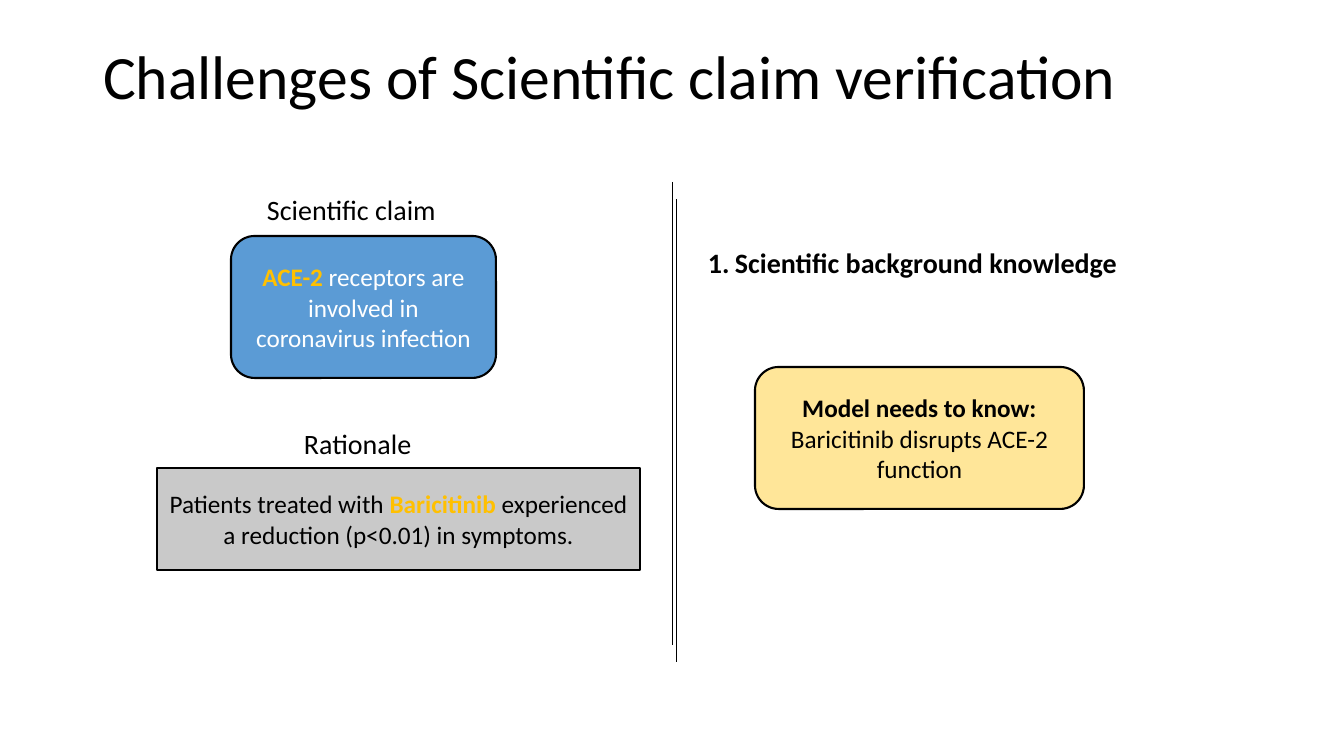
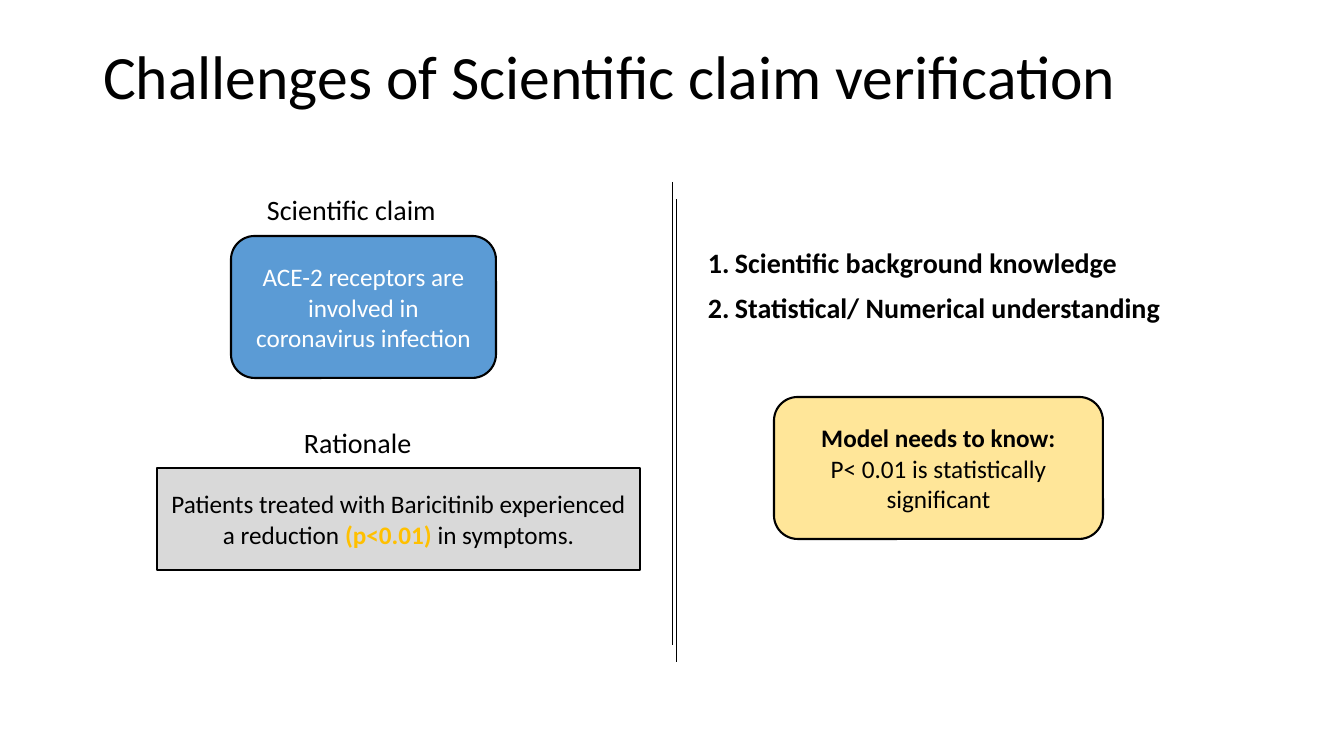
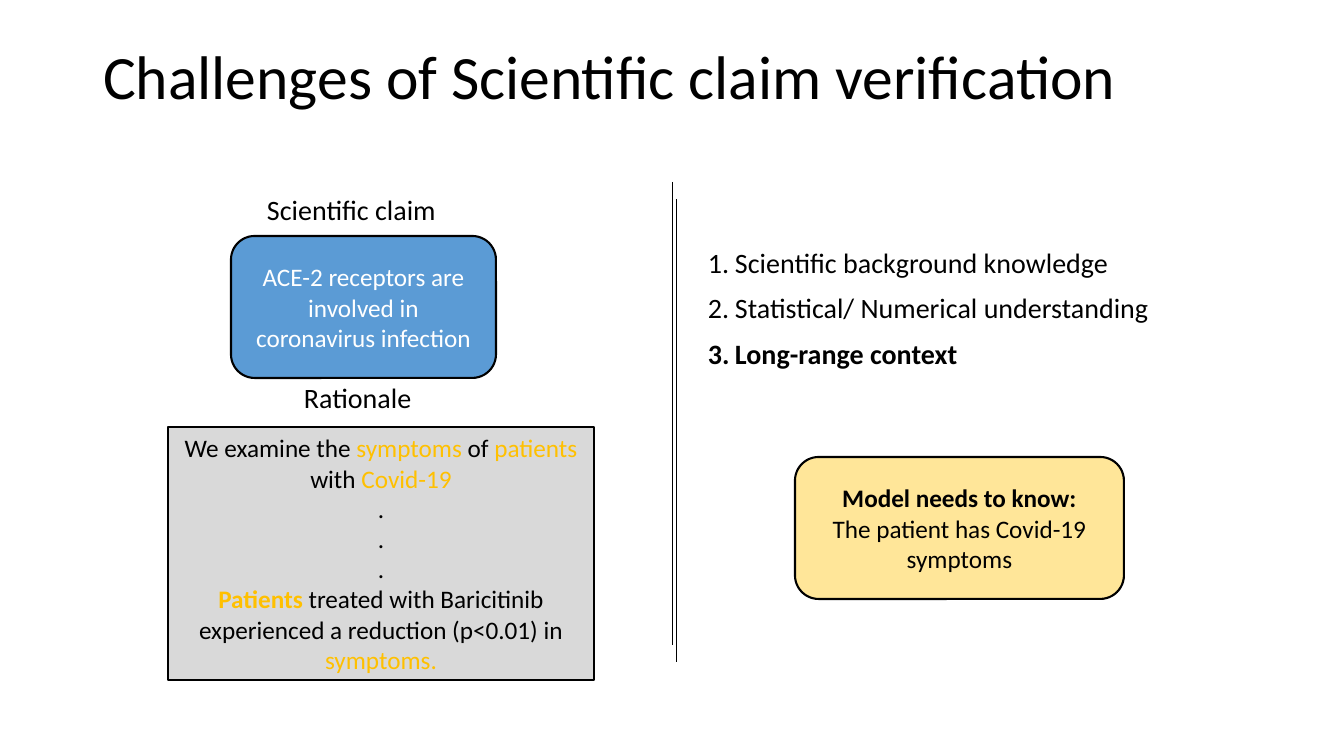
"""Three slides on the challenges of scientific claim verification."""
from typing import NamedTuple

from lxml import etree
from pptx import Presentation
from pptx.dml.color import RGBColor
from pptx.enum.shapes import MSO_CONNECTOR, MSO_SHAPE
from pptx.enum.text import MSO_ANCHOR, MSO_AUTO_SIZE, PP_ALIGN
from pptx.oxml.ns import qn
from pptx.util import Emu, Pt

PIXEL = 914400 / 100.8
FONT = "Calibri"
TITLE = "Challenges of Scientific claim verification"
CLAIM = "ACE-2 receptors are involved in coronavirus infection"

BLACK = RGBColor(0x00, 0x00, 0x00)
WHITE = RGBColor(0xFF, 0xFF, 0xFF)
BLUE = RGBColor(0x5B, 0x9B, 0xD5)
YELLOW = RGBColor(0xFF, 0xE6, 0x99)
AMBER = RGBColor(0xFF, 0xC0, 0x00)
GREY = RGBColor(0xD9, 0xD9, 0xD9)
DARK_GREY = RGBColor(0xC9, 0xC9, 0xC9)

ROUNDED = MSO_SHAPE.ROUNDED_RECTANGLE
RECTANGLE = MSO_SHAPE.RECTANGLE
STRAIGHT = MSO_CONNECTOR.STRAIGHT
LEFT, CENTER = PP_ALIGN.LEFT, PP_ALIGN.CENTER
MIDDLE, TOP = MSO_ANCHOR.MIDDLE, MSO_ANCHOR.TOP
NO_AUTOFIT = MSO_AUTO_SIZE.NONE


class Mark(NamedTuple):
    """A highlighted stretch of text."""
    text: str
    bold: bool = False


def px(*lengths):
    """Turn pixels into a list of EMU lengths."""
    return [Emu(round(length * PIXEL)) for length in lengths]


def place(shape, left, top, width, height):
    """Move and size a shape, in pixels."""
    shape.left, shape.top, shape.width, shape.height = px(left, top, width, height)


def clear_margins(frame):
    """Remove the inner margins of a text frame."""
    frame.margin_left = frame.margin_right = 0
    frame.margin_top = frame.margin_bottom = 0


def style(para, size, color=BLACK, bold=False, align=LEFT):
    """Set the font and alignment of a paragraph."""
    para.alignment = align
    para.font.name = FONT
    para.font.size = Pt(size)
    para.font.color.rgb = color
    para.font.bold = bold


def next_para(frame, index):
    """Return the first paragraph, or add another one."""
    return frame.add_paragraph() if index else frame.paragraphs[0]


def add_spans(para, spans):
    """Add plain strings and highlighted marks to a paragraph."""
    for span in spans:
        run = para.add_run()
        if isinstance(span, Mark):
            run.text = span.text
            run.font.color.rgb = AMBER
            if span.bold:
                run.font.bold = True
        else:
            run.text = span


def add_title(page):
    """Fill the title placeholder."""
    title = page.shapes.title
    place(title, 93, 40, 1159, 79)
    frame = title.text_frame
    frame.auto_size = NO_AUTOFIT
    frame.vertical_anchor = MIDDLE
    frame.text = TITLE
    para = frame.paragraphs[0]
    para.line_spacing = 0.9
    style(para, 44)


def add_challenges(page, challenges):
    """Fill the body placeholder with a numbered list of (text, bold)."""
    body = page.placeholders[1]
    place(body, 708, 249, 540, 135)
    frame = body.text_frame
    clear_margins(frame)
    frame.auto_size = NO_AUTOFIT
    frame.vertical_anchor = TOP
    indent = px(27)[0]
    for index, (text, bold) in enumerate(challenges):
        para = next_para(frame, index)
        para.text = text
        para.line_spacing = 0.9
        para.space_before = Pt(0)
        para.space_after = Pt(11)
        properties = para._p.get_or_add_pPr()
        properties.set("marL", str(indent))
        properties.set("indent", str(-indent))
        etree.SubElement(properties, qn("a:buAutoNum"), type="arabicPeriod")
        style(para, 20, bold=bold)


def add_caption(page, text, left, top):
    """Add a caption above a card."""
    box = page.shapes.add_textbox(*px(left, top, 190, 34))
    frame = box.text_frame
    clear_margins(frame)
    frame.word_wrap = True
    frame.text = text
    style(frame.paragraphs[0], 20)


def add_card(page, kind, area, fill, paragraphs, color=BLACK, bold_first=False):
    """Add an outlined card with centred paragraphs of spans."""
    card = page.shapes.add_shape(kind, *px(*area))
    card.shadow.inherit = False
    card.fill.solid()
    card.fill.fore_color.rgb = fill
    card.line.color.rgb = BLACK
    card.line.width = Pt(1.5)
    frame = card.text_frame
    frame.word_wrap = True
    frame.vertical_anchor = MIDDLE
    for index, spans in enumerate(paragraphs):
        para = next_para(frame, index)
        add_spans(para, spans)
        style(para, 18, color, bold_first and index == 0, CENTER)


def add_divider(page, x, top):
    """Add a thin vertical line."""
    line = page.shapes.add_connector(STRAIGHT, *px(x, top, x, top + 463))
    line.line.color.rgb = BLACK
    line.line.width = Pt(0.5)
    etree.SubElement(line._element.spPr, qn("a:effectLst"))


def add_page(deck, challenges, claim, rationale, rationale_area, caption_top,
             need, need_at, rationale_fill=GREY):
    """Add one slide: claim and rationale at left, challenges at right."""
    page = deck.slides.add_slide(deck.slide_layouts[1])
    add_title(page)
    add_challenges(page, challenges)
    add_caption(page, "Scientific claim", 267, 192)
    add_caption(page, "Rationale", 304, caption_top)
    add_card(page, ROUNDED, (231, 236, 265, 142), BLUE, [claim], WHITE)
    add_card(page, ROUNDED, (*need_at, 329, 142), YELLOW,
             [["Model needs to know:"], [need]], bold_first=True)
    add_card(page, RECTANGLE, rationale_area, rationale_fill, rationale)
    add_divider(page, 672, 182)
    add_divider(page, 676, 199)


def main():
    """Build and save the deck."""
    deck = Presentation()
    deck.slide_width, deck.slide_height = px(1344, 756)
    background = "Scientific background knowledge"
    statistics = "Statistical/ Numerical understanding"
    short_area = (157, 468, 483, 102)

    add_page(
        deck, [(background, True)],
        [Mark("ACE-2", True), " receptors are involved in coronavirus infection"],
        [["Patients treated with ", Mark("Baricitinib", True),
          " experienced a reduction (p<0.01) in symptoms."]],
        short_area, 426,
        "Baricitinib disrupts ACE-2 function", (755, 367), DARK_GREY)
    add_page(
        deck, [(background, True), (statistics, True)],
        [CLAIM],
        [["Patients treated with Baricitinib experienced a reduction ",
          Mark("(p<0.01) ", True), "in symptoms."]],
        short_area, 425,
        "P< 0.01 is statistically significant", (774, 397))
    add_page(
        deck,
        [(background, False), (statistics, False), ("Long-range context", True)],
        [CLAIM],
        [["We examine the ", Mark("symptoms"), " of ", Mark("patients"),
          " with ", Mark("Covid-19")],
         *[["."]] * 3,
         [Mark("Patients ", True),
          "treated with Baricitinib experienced a reduction (p<0.01) in ",
          Mark("symptoms.")]],
        (168, 427, 426, 253), 380,
        "The patient has Covid-19 symptoms", (795, 457))
    deck.save("out.pptx")


main()
